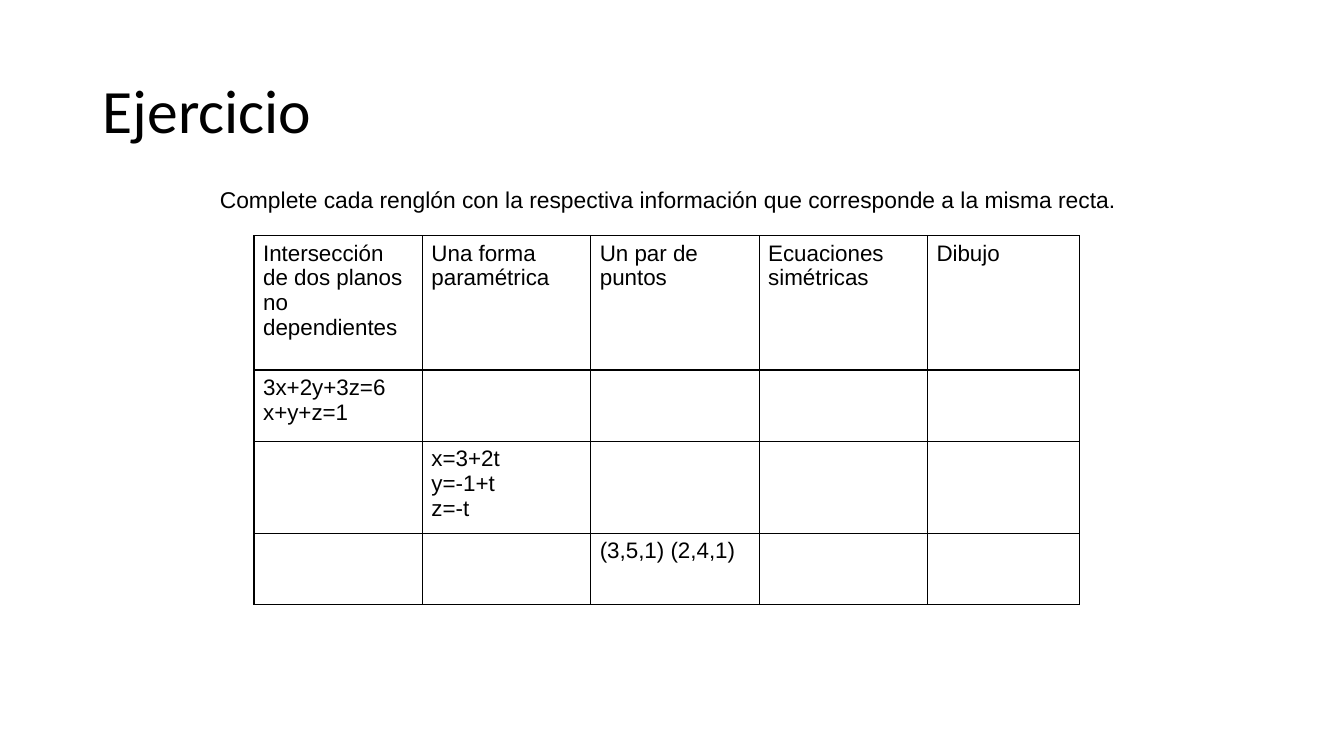
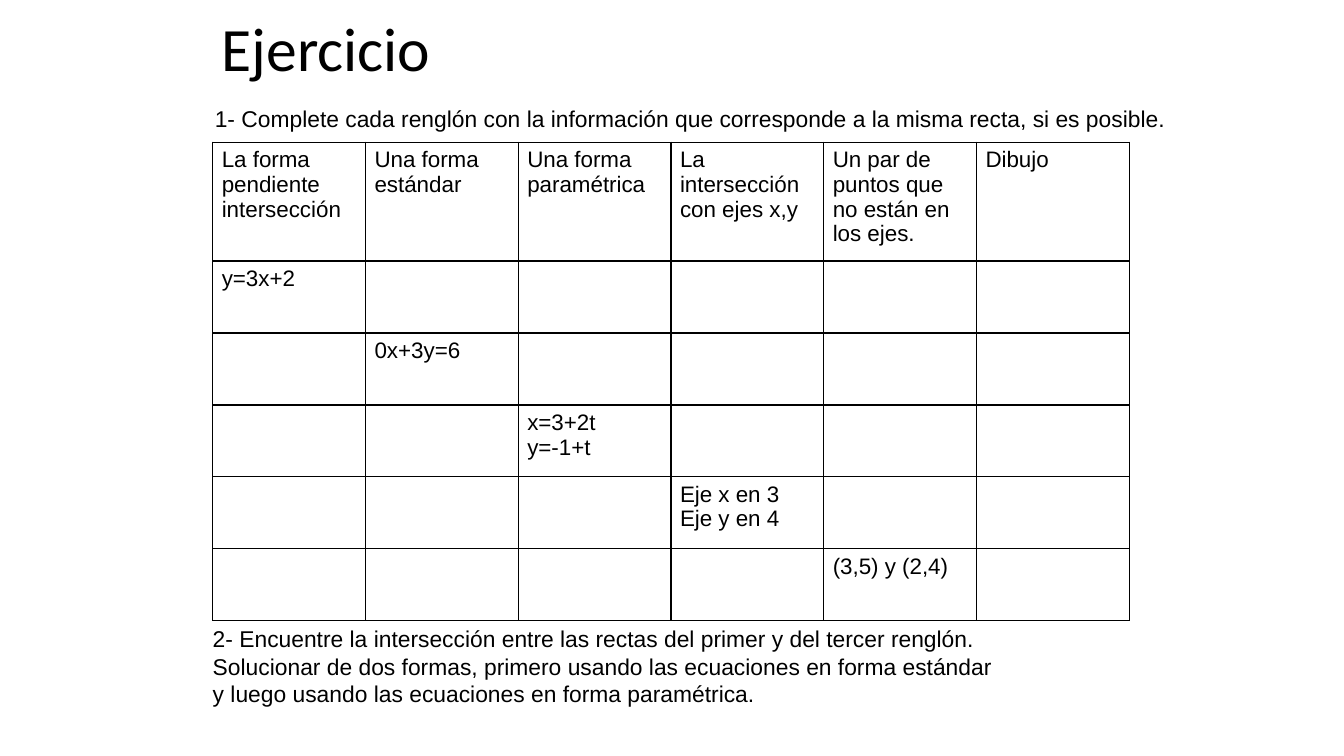
from lxml import etree
from pptx import Presentation
from pptx.dml.color import RGBColor
from pptx.enum.text import MSO_ANCHOR
from pptx.oxml.ns import qn
from pptx.util import Inches, Pt

COLORS = {"text": "000000", "border": "000000"}
TITLE_FONT, BODY_FONT = "Calibri", "Arial"
TITLE_SIZE, NOTE_SIZE, CELL_SIZE = 44, 16.3, 16
BORDER_WIDTH = Pt(1)


def set_text(frame, text, font, size, spacing=None):
    """Write one paragraph per line of text, all in one style."""
    frame.text = text
    for para in frame.paragraphs:
        para.line_spacing = spacing
        para.font.size = Pt(size)
        for span in para.runs:
            span.font.name = font
            span.font.size = Pt(size)
            span.font.color.rgb = RGBColor.from_string(COLORS["text"])


def add_text_box(page, area):
    box = page.shapes.add_textbox(*(Inches(value) for value in area))
    box.text_frame.word_wrap = True
    return box.text_frame


def add_title(page, text, area):
    frame = add_text_box(page, area)
    frame.vertical_anchor = MSO_ANCHOR.MIDDLE
    set_text(frame, text, TITLE_FONT, TITLE_SIZE, 0.9)


def add_instruction(page, text, area):
    frame = add_text_box(page, area)
    frame.margin_left = frame.margin_right = Inches(0.09)
    frame.margin_top = frame.margin_bottom = Inches(0.04)
    set_text(frame, text, BODY_FONT, NOTE_SIZE)


def add_borders(cell):
    properties = cell._tc.get_or_add_tcPr()
    for position, side in enumerate(("a:lnL", "a:lnR", "a:lnT", "a:lnB")):
        line = etree.Element(qn(side), w=str(BORDER_WIDTH))
        fill = etree.SubElement(line, qn("a:solidFill"))
        etree.SubElement(fill, qn("a:srgbClr"), val=COLORS["border"])
        properties.insert(position, line)


def add_exercise_table(page, left, top, widths, heights, headers, clues):
    """Draw a grid with headers and one clue per row, along the diagonal."""
    frame = page.shapes.add_table(
        len(heights), len(widths), Inches(left), Inches(top),
        Inches(sum(widths)), Inches(sum(heights)))
    table = frame.table
    table.first_row = table.horz_banding = False
    for column, width in zip(table.columns, widths):
        column.width = Inches(width)
    for row, height in zip(table.rows, heights):
        row.height = Inches(height)

    texts = {(0, column): header for column, header in enumerate(headers)}
    texts.update({(index + 1, index): clue for index, clue in enumerate(clues)})
    for row in range(len(heights)):
        for column in range(len(widths)):
            cell = table.cell(row, column)
            cell.fill.background()
            cell.margin_left = cell.margin_right = Inches(0.09)
            cell.margin_top = cell.margin_bottom = Inches(0.05)
            set_text(cell.text_frame, texts.get((row, column), ""),
                     BODY_FONT, CELL_SIZE)
            add_borders(cell)


def add_page(deck):
    return deck.slides.add_slide(deck.slide_layouts[6])


def build_space_lines(deck):
    page = add_page(deck)
    add_title(page, "Ejercicio", (0.92, 0.4, 11.5, 1.45))
    add_exercise_table(
        page, 2.52, 2.34, [1.67] * 4 + [1.51], [1.33, 0.71, 0.91, 0.71],
        ["Intersección de dos planos no dependientes",
         "Una forma\nparamétrica", "Un par de puntos",
         "Ecuaciones\nsimétricas", "Dibujo"],
        ["3x+2y+3z=6\nx+y+z=1", "x=3+2t\ny=-1+t\nz=-t", "(3,5,1) (2,4,1)"])
    add_instruction(
        page,
        "Complete cada renglón con la respectiva información que "
        "corresponde a la misma recta.",
        (2.09, 1.8, 9.17, 0.35))


def build_plane_lines(deck):
    page = add_page(deck)
    add_title(page, "Ejercicio", (2.1, -0.11, 9, 1.25))
    add_exercise_table(
        page, 2.11, 1.41, [1.515] * 6, [1.18] + [0.714] * 5,
        ["La forma\npendiente\nintersección", "Una forma\nestándar",
         "Una forma\nparamétrica", "La\nintersección\ncon ejes x,y",
         "Un par de puntos que no están en los ejes.", "Dibujo"],
        ["y=3x+2", "0x+3y=6", "x=3+2t\ny=-1+t",
         "Eje x en 3\nEje y en 4", "(3,5) y (2,4)"])
    add_instruction(
        page,
        "1- Complete cada renglón con la información que corresponde a la "
        "misma recta, si es posible.",
        (2.04, 1, 9.71, 0.35))
    add_instruction(
        page,
        "2- Encuentre la intersección entre las rectas del primer y del "
        "tercer renglón.\n"
        "Solucionar de dos formas, primero usando las ecuaciones en forma "
        "estándar\n"
        "y luego usando las ecuaciones en forma paramétrica.",
        (2.02, 6.16, 8, 0.88))


def main():
    deck = Presentation()
    deck.slide_width, deck.slide_height = Inches(13.33), Inches(7.5)
    build_space_lines(deck)
    build_plane_lines(deck)
    deck.save("out.pptx")


if __name__ == "__main__":
    main()
